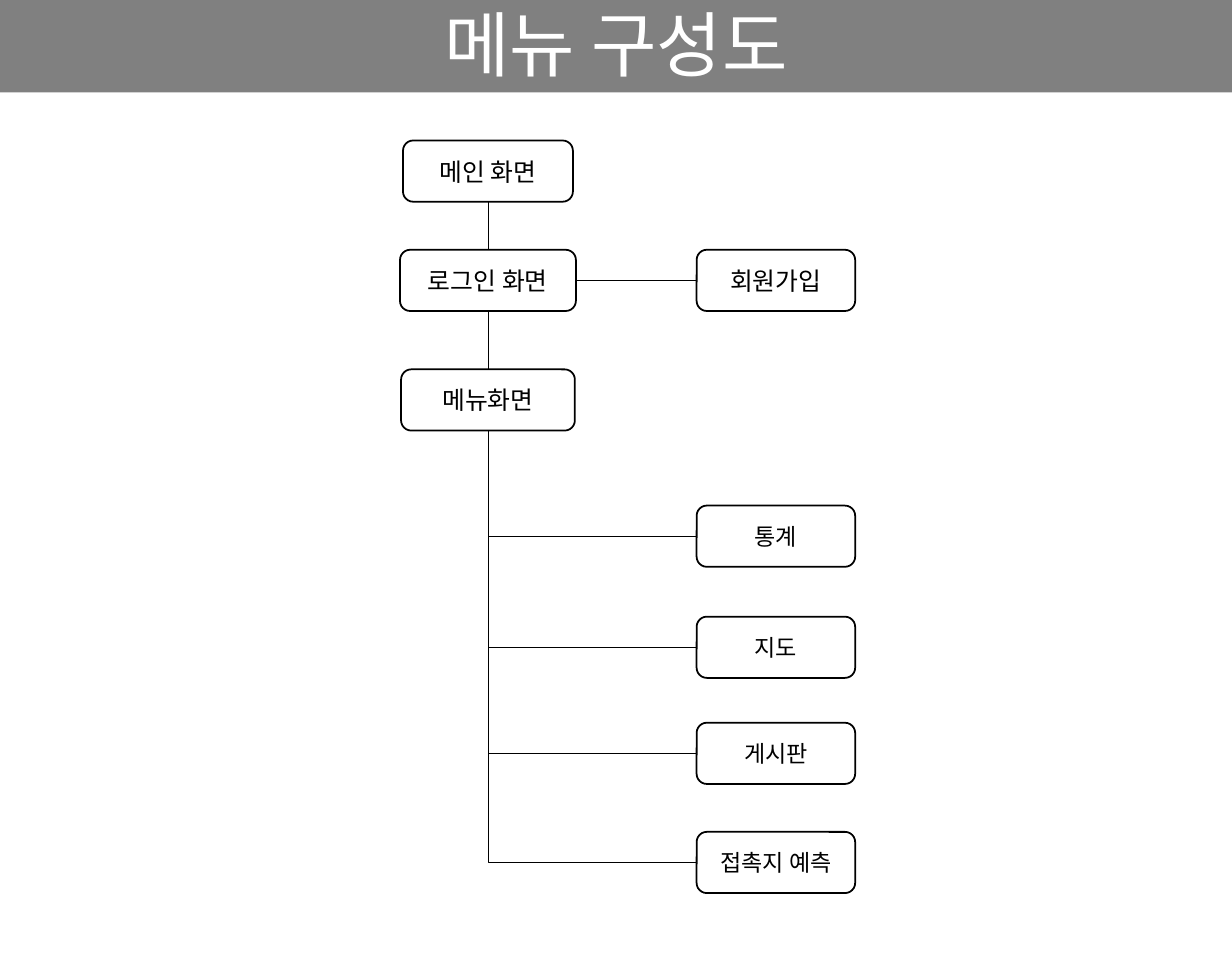
from lxml import etree
from pptx import Presentation
from pptx.dml.color import RGBColor
from pptx.enum.shapes import MSO_CONNECTOR, MSO_SHAPE
from pptx.enum.text import MSO_ANCHOR, PP_ALIGN
from pptx.oxml.ns import qn
from pptx.util import Pt

RECTANGLE = MSO_SHAPE.RECTANGLE
SCREEN_SHAPE = MSO_SHAPE.FLOWCHART_ALTERNATE_PROCESS
STRAIGHT = MSO_CONNECTOR.STRAIGHT
ELBOW = MSO_CONNECTOR.ELBOW
MIDDLE = MSO_ANCHOR.MIDDLE
BOTTOM_ANCHOR = MSO_ANCHOR.BOTTOM
CENTER = PP_ALIGN.CENTER

GRAY = RGBColor(0x80, 0x80, 0x80)
WHITE = RGBColor(0xFF, 0xFF, 0xFF)
BLACK = RGBColor(0x00, 0x00, 0x00)

FONT = "Calibri"
SLIDE_WIDTH, SLIDE_HEIGHT = 694.8, 540
BANNER_HEIGHT = 52.1
SCREEN_HEIGHT = 34.5
MAIN_AXIS = 275.2
SIDE_AXIS = 437.6
SIDE_WIDTH = 89.4
LOGIN_TOP = 140.8
TOP, LEFT, BOTTOM, RIGHT = range(4)
MENU_ITEMS = [("통계", 285), ("지도", 347.6), ("게시판", 407.4), ("접촉지 예측", 468.9)]


def write_label(shape, label, size, color, anchor):
    frame = shape.text_frame
    frame.text = label
    frame.word_wrap = True
    frame.vertical_anchor = anchor
    paragraph = frame.paragraphs[0]
    paragraph.alignment = CENTER
    font = paragraph.runs[0].font
    font.name = FONT
    font.size = Pt(size)
    font.color.rgb = color
    return frame


def add_banner(slide, title):
    banner = slide.shapes.add_shape(RECTANGLE, 0, 0, Pt(SLIDE_WIDTH), Pt(BANNER_HEIGHT))
    banner.shadow.inherit = False
    banner.fill.solid()
    banner.fill.fore_color.rgb = GRAY
    banner.line.fill.background()
    frame = write_label(banner, title, 40.1, WHITE, BOTTOM_ANCHOR)
    frame.margin_left = frame.margin_right = Pt(5)
    frame.margin_top = frame.margin_bottom = Pt(2.9)
    frame.paragraphs[0].line_spacing = 0.9


def add_screen(slide, label, axis, top, width, size=14):
    screen = slide.shapes.add_shape(
        SCREEN_SHAPE, Pt(axis - width / 2), Pt(top), Pt(width), Pt(SCREEN_HEIGHT))
    screen.shadow.inherit = False
    screen.fill.solid()
    screen.fill.fore_color.rgb = WHITE
    screen.line.color.rgb = BLACK
    screen.line.width = Pt(1)
    write_label(screen, label, size, BLACK, MIDDLE)
    return screen


def add_link(slide, kind, source, source_side, target, target_side):
    link = slide.shapes.add_connector(kind, 0, 0, 0, 0)
    link.begin_connect(source, source_side)
    link.end_connect(target, target_side)
    link.line.color.rgb = BLACK
    link.line.width = Pt(0.5)
    etree.SubElement(link._element.spPr, qn("a:effectLst"))
    return link


def add_branch(slide, menu, item):
    branch = add_link(slide, ELBOW, menu, BOTTOM, item, LEFT)
    start_x, start_y = branch.begin_x, branch.begin_y
    reach, drop = branch.end_x - start_x, branch.end_y - start_y
    branch.left = start_x + (reach - drop) // 2
    branch.top = start_y + (drop - reach) // 2
    branch.width, branch.height = drop, reach
    properties = branch._element.spPr
    frame = properties.find(qn("a:xfrm"))
    frame.set("rot", "16200000")
    frame.set("flipH", "1")
    properties.find(qn("a:prstGeom")).set("prst", "bentConnector2")


def main():
    presentation = Presentation()
    presentation.slide_width = Pt(SLIDE_WIDTH)
    presentation.slide_height = Pt(SLIDE_HEIGHT)
    slide = presentation.slides.add_slide(presentation.slide_layouts[6])

    add_banner(slide, "메뉴 구성도")
    start = add_screen(slide, "메인 화면", MAIN_AXIS, 79.2, 95.8)
    login = add_screen(slide, "로그인 화면", MAIN_AXIS, LOGIN_TOP, 99.2)
    signup = add_screen(slide, "회원가입", SIDE_AXIS, LOGIN_TOP, SIDE_WIDTH)
    menu = add_screen(slide, "메뉴화면", MAIN_AXIS, 208.2, 98)

    add_link(slide, STRAIGHT, start, BOTTOM, login, TOP)
    add_link(slide, STRAIGHT, login, RIGHT, signup, LEFT)
    add_link(slide, STRAIGHT, login, BOTTOM, menu, TOP)
    for label, top in MENU_ITEMS:
        item = add_screen(slide, label, SIDE_AXIS, top, SIDE_WIDTH, 13)
        add_branch(slide, menu, item)

    presentation.save("out.pptx")


if __name__ == "__main__":
    main()
